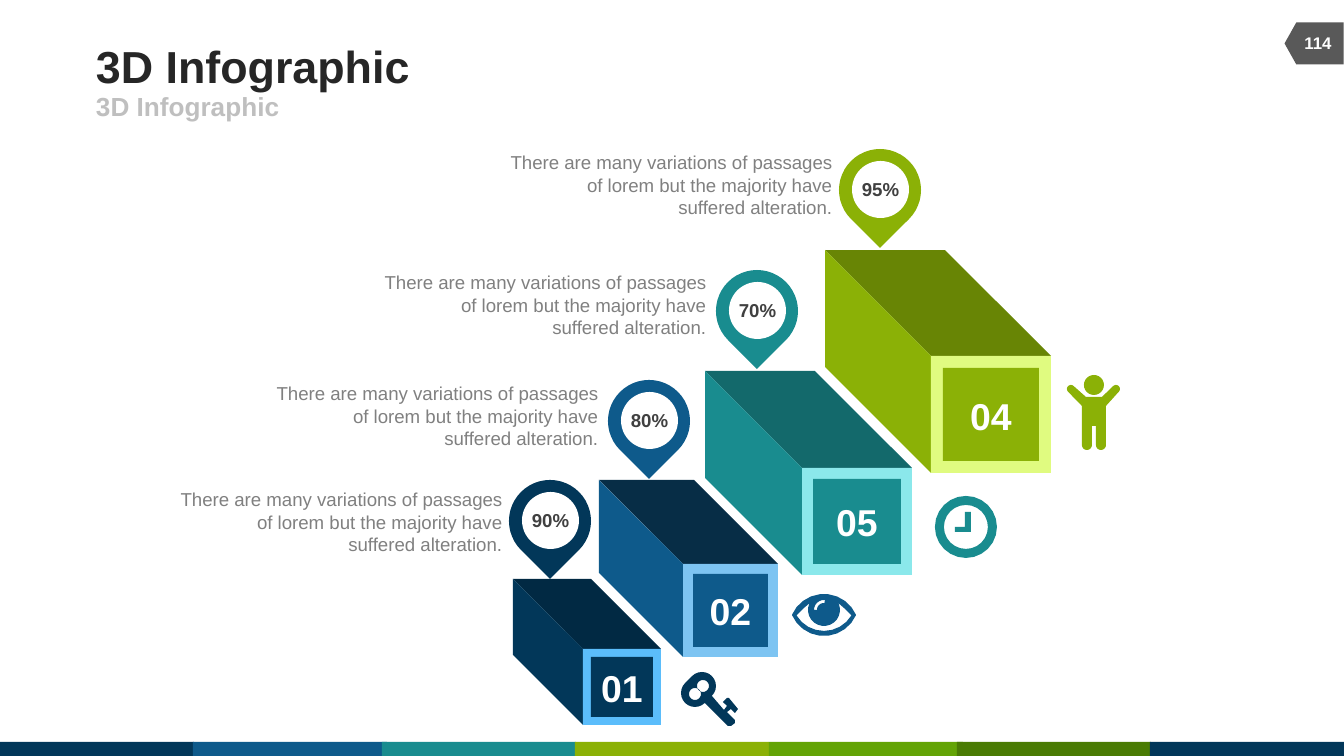
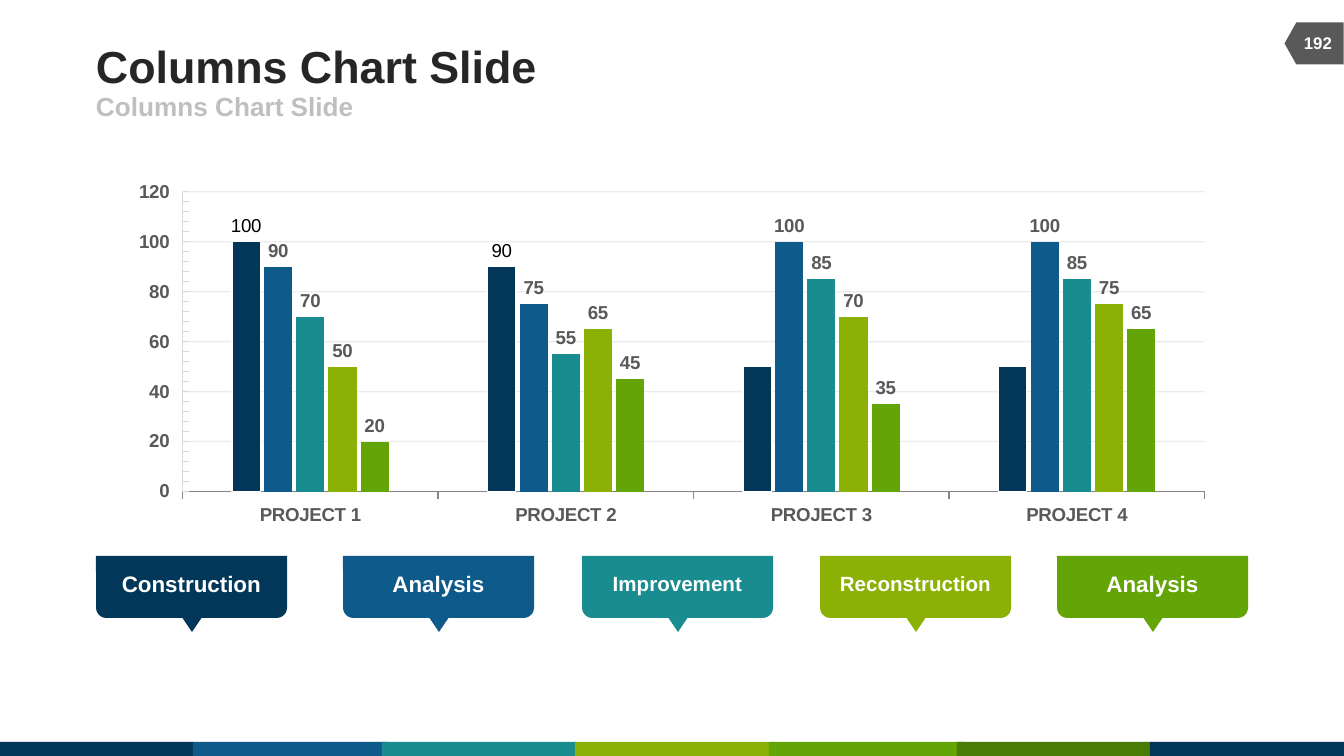
from math import cos, radians, sin

from lxml.etree import SubElement
from pptx import Presentation
from pptx.chart.data import CategoryChartData
from pptx.dml.color import RGBColor
from pptx.enum.chart import XL_CHART_TYPE as ChartType
from pptx.enum.chart import XL_LABEL_POSITION as LabelPosition
from pptx.enum.chart import XL_TICK_LABEL_POSITION as TickLabels
from pptx.enum.chart import XL_TICK_MARK as TickMark
from pptx.enum.shapes import MSO_SHAPE as Shape
from pptx.enum.text import MSO_ANCHOR as Anchor
from pptx.enum.text import MSO_AUTO_SIZE as AutoSize
from pptx.enum.text import PP_ALIGN as Align
from pptx.oxml.ns import qn
from pptx.util import Emu, Pt

EMU_PER_PX = 914400 / 134.4
FONT = "Arial"
NAVY, BLUE, TEAL, LIME, GREEN, FOREST = (
    "023759", "0E5A8B", "198C8F", "8BB106", "63A406", "4A7B04")
WHITE, INK, GRAY, SILVER = "FFFFFF", "262626", "595959", "BFBFBF"
BANDS = [(0, NAVY), (193, BLUE), (382, TEAL), (575, LIME),
         (769, GREEN), (957, FOREST), (1150, NAVY)]
CAPTION = ("There are many variations of passages of lorem "
           "but the majority have\vsuffered alteration.")


def px(value):
    """Turn pixels into EMU."""
    return Emu(round(value * EMU_PER_PX))


def rgb(value):
    """Turn a hex string into a colour."""
    return RGBColor.from_string(value)


def style_font(font, size, color, bold=True):
    """Apply the deck font with a size, colour and weight."""
    font.name, font.size, font.bold = FONT, Pt(size), bold
    font.color.rgb = rgb(color)


def write(shape, text, size, color, bold=True, align=Align.CENTER,
          anchor=Anchor.MIDDLE, wrap=False):
    """Fill a shape with one formatted paragraph without insets."""
    frame = shape.text_frame
    frame.text = text
    frame.auto_size = AutoSize.NONE
    frame.word_wrap, frame.vertical_anchor = wrap, anchor
    frame.margin_left = frame.margin_right = 0
    frame.margin_top = frame.margin_bottom = 0
    para = frame.paragraphs[0]
    para.alignment = align
    for span in para.runs:
        style_font(span.font, size, color, bold)
        span.font._element.set("cap", "none")


def paint(shape, color):
    """Give a shape a flat fill without line or shadow."""
    shape.shadow.inherit = False
    shape.fill.solid()
    shape.fill.fore_color.rgb = rgb(color)
    shape.line.fill.background()
    return shape


def add_flat(page, kind, box, color, rotation=0):
    """Add a flat preset shape."""
    shape = page.shapes.add_shape(kind, *map(px, box))
    shape.rotation = rotation
    return paint(shape, color)


def add_label(page, box, text, size, color, **options):
    """Add a text box."""
    write(page.shapes.add_textbox(*map(px, box)), text, size, color, **options)


def add_outline(page, origin, color, *contours):
    """Draw closed contours, given relative to an origin, as one freeform."""
    left, top = origin
    builder = None
    for contour in contours:
        points = [(px(left + x), px(top + y)) for x, y in contour]
        if builder is None:
            builder = page.shapes.build_freeform(*points[0])
        else:
            builder.move_to(*points[0])
        builder.add_line_segments(points[1:], close=True)
    return paint(builder.convert_to_shape(), color)


def arc(x, y, radius, start=0, stop=360):
    """List the points of an arc in degrees, about 24 to a full turn."""
    steps = max(2, round(abs(stop - start) / 15))
    angles = (radians(start + (stop - start) * i / steps) for i in range(steps + 1))
    return [(x + radius * cos(a), y + radius * sin(a)) for a in angles]


def draw_key(page, origin):
    """Draw the key icon."""
    bit = [(46, 26), (48, 26), (57, 37), (54, 41), (50, 37), (46, 40), (54, 48),
           (54, 51), (50, 54), (47, 54)]
    notch = [(43, 38), (46, 34), (42, 30)]
    body = arc(21, 14, 14, -135, 45) + notch + bit + arc(14, 21, 14, 45, 225)
    add_outline(page, origin, NAVY, body, arc(22, 14, 6), arc(14, 22, 6))


def draw_eye(page, origin):
    """Draw the eye icon."""
    lids = arc(32, 35, 35, 204, 336) + arc(32, 7, 35, 24, 156)
    white = arc(32, 16, 16, -25, 205) + [(12, 14), (5, 21)] \
        + arc(32, 5, 32, 149, 31) + [(52, 14)]
    glint = arc(32, 16, 10, 180, 275) + arc(32, 16, 7, 275, 180)
    add_outline(page, origin, BLUE, lids, white, glint)


def draw_clock(page, origin):
    """Draw the clock icon."""
    hands = [(36, 16), (36, 36), (20, 36), (20, 31), (30, 31), (30, 16)]
    add_outline(page, origin, TEAL, arc(31, 31, 31), arc(31, 31, 22), hands)


def draw_person(page, origin):
    """Draw the icon of a person with raised arms."""
    legs = arc(34, 70, 5, 0, 180) + [(29, 51), (25, 51)] + arc(20, 70, 5, 0, 180)
    left_arm = arc(4, 14, 4, 135, 315)
    right_arm = arc(49, 14, 4, 225, 405)
    body = legs + [(15, 31)] + left_arm + [(19, 22), (35, 22)] + right_arm + [(39, 31)]
    add_outline(page, origin, LIME, body, arc(27, 10, 10))


STEPS = [
    ("01", "90%", (513, 579, 78, 70), NAVY, "012943", "5BBDFB",
     (509, 480), (171, 488), draw_key, (681, 672)),
    ("02", "80%", (599, 480, 95, 84), BLUE, "072D46", "7DC4F2",
     (608, 380), (267, 382), draw_eye, (792, 594)),
    ("05", "70%", (705, 371, 110, 97), TEAL, "13696B", "8BE8EB",
     (716, 270), (375, 271), draw_clock, (935, 496)),
    ("04", "95%", (825, 250, 120, 106), LIME, "688505", "E0FB80",
     (839, 149), (501, 151), draw_person, (1067, 375)),
]
TAGS = [
    (96, "Construction", 12, NAVY),
    (343, "Analysis", 12, BLUE),
    (582, "Improvement", 11, TEAL),
    (820, "Reconstruction", 11, LIME),
    (1057, "Analysis", 12, GREEN),
]
SERIES = [
    (NAVY, (100, 90, 50, 50)),
    (BLUE, (90, 75, 100, 100)),
    (TEAL, (70, 55, 85, 85)),
    (LIME, (50, 65, 70, 75)),
    (GREEN, (20, 45, 35, 65)),
]


def dress_layout(page):
    """Draw the bands and the number flag and hand them to the layout."""
    parts = [add_flat(page, Shape.RECTANGLE, (left, 742, 194, 14), color)
             for left, color in BANDS]
    parts.append(add_flat(page, Shape.FLOWCHART_OFFPAGE_CONNECTOR,
                          (1293, 14, 42, 59), GRAY, 90))
    for part in parts:
        page.slide_layout.shapes._spTree.append(part._element)


def add_page(deck, title, number):
    """Add a slide with its title, subtitle and page number."""
    page = deck.slides.add_slide(deck.slide_layouts[2])
    if len(deck.slides) == 1:
        dress_layout(page)
    heading, subheading = page.placeholders
    for holder, box, size, color in ((heading, (96, 40, 829, 52), 24, INK),
                                     (subheading, (96, 91, 605, 30), 14, SILVER)):
        holder.left, holder.top, holder.width, holder.height = map(px, box)
        write(holder, title, size, color, align=Align.LEFT)
    add_label(page, (1290, 23, 56, 40), number, 9, WHITE)
    return page


def draw_pillar(page, box, number, color, shade, frame_color):
    """Draw a receding pillar whose framed front carries a number."""
    left, top, width, depth = box
    height = round(width * 0.975)
    roof = [(0, 0), (width, 0), (width + depth, depth), (depth, depth)]
    side = [(0, 0), (depth, depth), (depth, depth + height), (0, height)]
    add_outline(page, (left, top), shade, roof)
    add_outline(page, (left, top), color, side)
    x, y, inset = left + depth, top + depth, round(width * 0.1)
    add_flat(page, Shape.RECTANGLE, (x, y, width, height), frame_color)
    add_flat(page, Shape.RECTANGLE,
             (x + inset, y + inset, width - 2 * inset, height - 2 * inset), color)
    add_label(page, (x + width / 2 - 21, y + height / 2 - 23, 42, 46),
              number, 20, WHITE, anchor=Anchor.BOTTOM)


def draw_pin(page, origin, share, color):
    """Draw a map pin with a percentage in its eye."""
    left, top = origin
    add_flat(page, Shape.TEAR, (left, top, 82, 82), color, 135)
    eye = add_flat(page, Shape.OVAL, (left + 13, top + 12, 57, 57), WHITE)
    write(eye, share, 10, "404040")


def build_infographic(deck):
    """Build the slide with four rising pillars."""
    page = add_page(deck, "3D Infographic", "114")
    for number, share, box, color, shade, frame, pin, caption, draw_icon, icon in STEPS:
        draw_pillar(page, box, number, color, shade, frame)
        draw_pin(page, pin, share, color)
        add_label(page, (*caption, 331, 67), CAPTION, 10, "808080", bold=False,
                  align=Align.RIGHT, anchor=Anchor.TOP, wrap=True)
        draw_icon(page, icon)


def fix_plot_area(chart, **fractions):
    """Pin the inner plot area to fractions of the chart."""
    area = chart._chartSpace.chart.plotArea
    for old in area.findall(qn("c:layout")):
        area.remove(old)
    layout = SubElement(area, qn("c:layout"))
    area.insert(0, layout)
    manual = SubElement(layout, qn("c:manualLayout"))
    settings = {"layoutTarget": "inner", "xMode": "edge", "yMode": "edge", **fractions}
    for name, value in settings.items():
        SubElement(manual, qn("c:" + name)).set("val", str(value))


def style_axes(chart):
    """Format the axes and the faint gridlines."""
    values, categories = chart.value_axis, chart.category_axis
    values.minimum_scale, values.maximum_scale = 0, 120
    values.major_unit, values.minor_unit = 20, 4
    values.major_tick_mark, values.minor_tick_mark = TickMark.NONE, TickMark.INSIDE
    values.tick_label_position = TickLabels.LOW
    categories.major_tick_mark = TickMark.OUTSIDE
    for line, color in ((values.major_gridlines.format.line, "D9D9D9"),
                        (values.format.line, "D9D9D9"),
                        (categories.format.line, "868686")):
        line.color.rgb, line.width = rgb(color), Pt(0.75)
    grid_color = next(values.major_gridlines._xAx.iter(qn("a:srgbClr")))
    SubElement(grid_color, qn("a:alpha")).set("val", "48000")


def draw_chart(page, box):
    """Draw the clustered columns with their value labels."""
    data = CategoryChartData()
    data.categories = [f"PROJECT {i}" for i in range(1, 5)]
    for i, (_, numbers) in enumerate(SERIES, 1):
        data.add_series(f"Series {i}", numbers)
    chart = page.shapes.add_chart(ChartType.COLUMN_CLUSTERED, *map(px, box), data).chart
    chart.has_legend = chart.has_title = False
    style_font(chart.font, 10, GRAY)
    fix_plot_area(chart, x=0.06, y=0.05, w=0.92, h=0.84)
    style_axes(chart)
    plot = chart.plots[0]
    plot.gap_width, plot.overlap, plot.vary_by_categories = 351, -14, False
    for series, (color, _) in zip(plot.series, SERIES):
        series.format.fill.solid()
        series.format.fill.fore_color.rgb = rgb(color)
        series.data_labels.show_value = color != NAVY
    first = plot.series[0]
    first.format.line.color.rgb, first.format.line.width = rgb(WHITE), Pt(0.75)
    for i in range(2):
        label = first.points[i].data_label
        label.position = LabelPosition.OUTSIDE_END
        style_font(label.font, 10, "000000", False)


def draw_tag(page, origin, text, size, color):
    """Draw a legend tag that points down."""
    left, top = origin
    add_flat(page, Shape.ISOSCELES_TRIANGLE, (left + 75, top + 45, 42, 31), color, 180)
    add_flat(page, Shape.ROUND_2_SAME_RECTANGLE, (left, top, 191, 62), color, 180)
    add_label(page, (left + 20, top + 14, 151, 27), text, size, WHITE)


def build_columns(deck):
    """Build the slide with the column chart and its tags."""
    page = add_page(deck, "Columns Chart Slide", "192")
    draw_chart(page, (116, 174, 1111, 357))
    for left, text, size, color in TAGS:
        draw_tag(page, (left, 556), text, size, color)


def main():
    """Build and save the deck."""
    deck = Presentation()
    deck.slide_width, deck.slide_height = px(1344), px(756)
    build_infographic(deck)
    build_columns(deck)
    deck.save("out.pptx")


if __name__ == "__main__":
    main()
